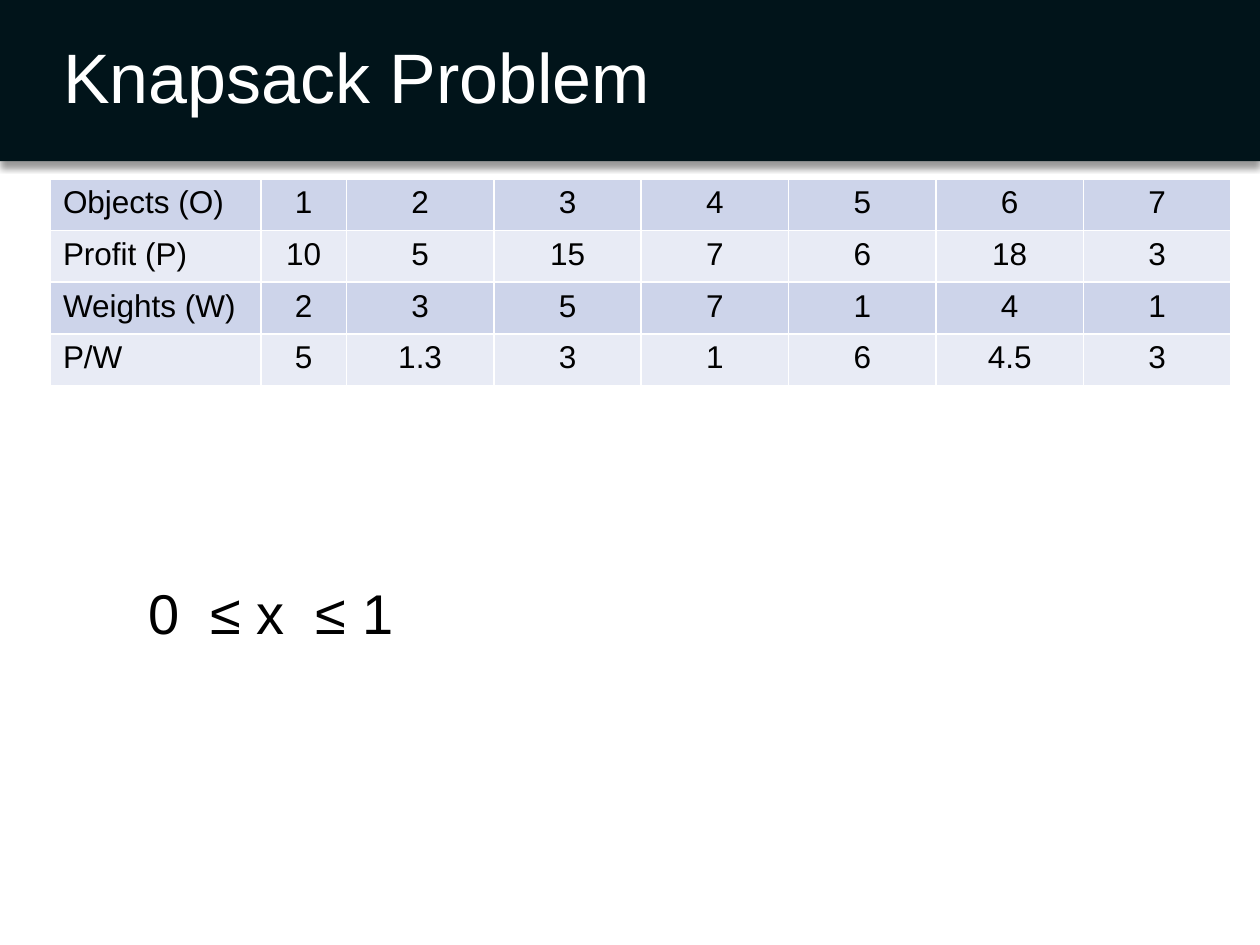
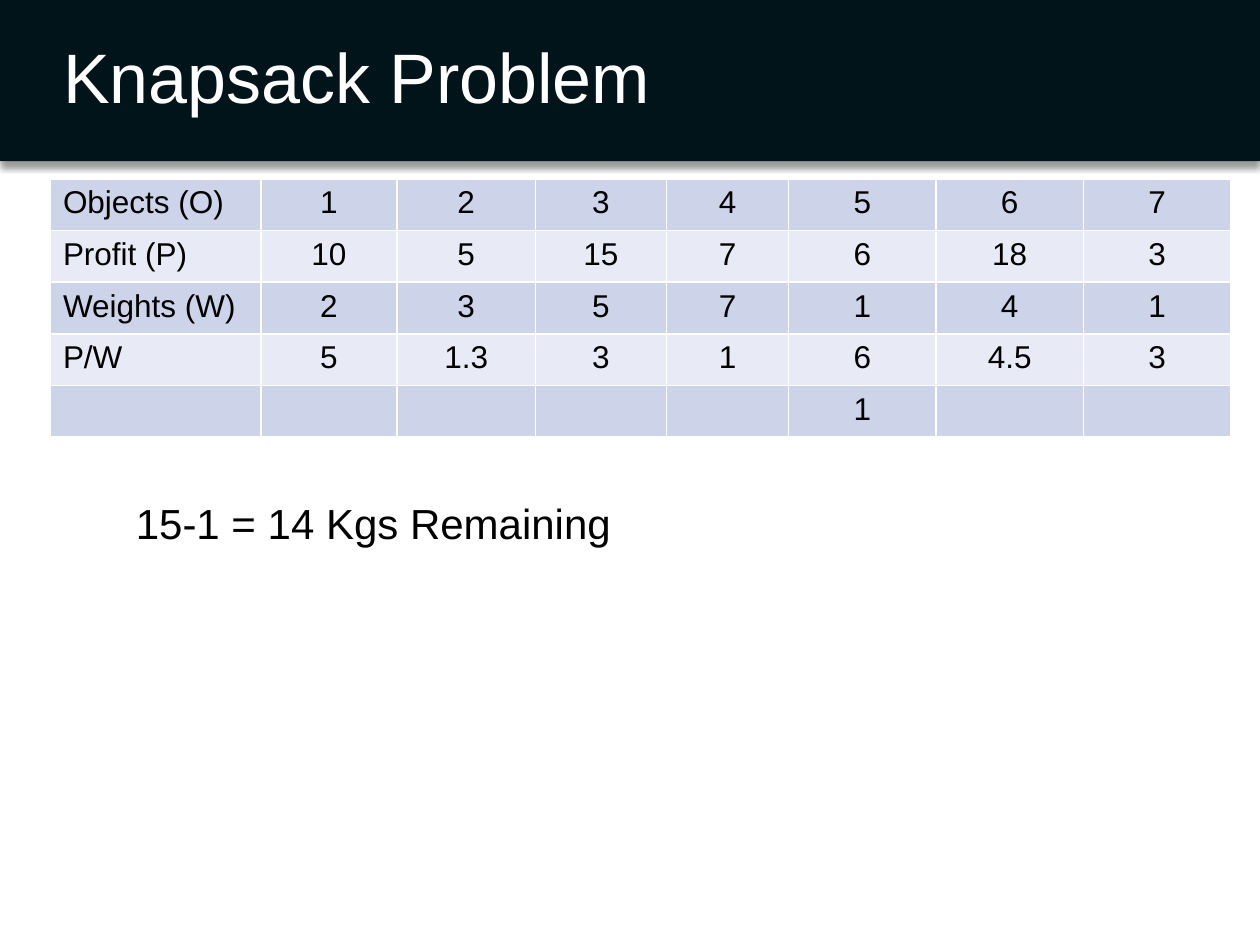
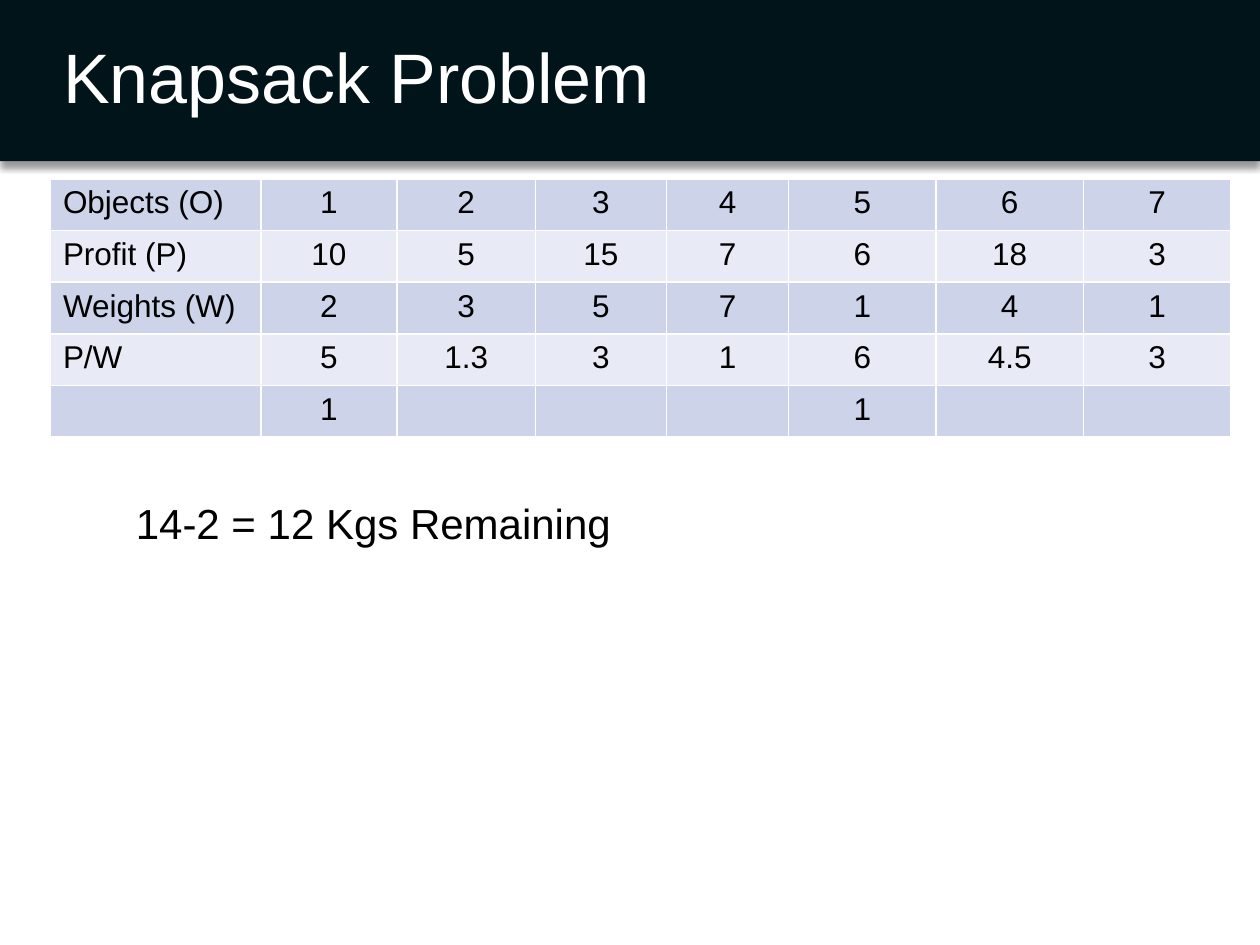
"""Build three slides that work through the knapsack problem."""
from lxml import etree
from pptx import Presentation
from pptx.dml.color import RGBColor
from pptx.enum.shapes import MSO_SHAPE
from pptx.enum.text import MSO_ANCHOR, MSO_AUTO_SIZE, PP_ALIGN
from pptx.oxml import parse_xml
from pptx.oxml.ns import nsdecls, qn
from pptx.util import Inches, Pt

RECT = MSO_SHAPE.RECTANGLE
MIDDLE = MSO_ANCHOR.MIDDLE
GROW = MSO_AUTO_SIZE.SHAPE_TO_FIT_TEXT
LEFT, CENTER = PP_ALIGN.LEFT, PP_ALIGN.CENTER

FONT = "Arial"
COLORS = {
    "band": "01141A",
    "white": "FFFFFF",
    "black": "000000",
    "odd": "CDD4EA",
    "even": "E8EBF5",
}
BAND_HIGH = 1.28
ROW_HIGH = 0.41
WIDE = [1.67, 0.68] + [1.17] * 6
TIGHT = [1.67, 1.08, 1.1, 1.04, 0.97] + [1.17] * 3
ITEMS = [
    ["Objects (O)", "1", "2", "3", "4", "5", "6", "7"],
    ["Profit (P)", "10", "5", "15", "7", "6", "18", "3"],
    ["Weights (W)", "2", "3", "5", "7", "1", "4", "1"],
    ["P/W", "5", "1.3", "3", "1", "6", "4.5", "3"],
]
SHADOW = (
    f'<a:effectLst {nsdecls("a")}>'
    f'<a:outerShdw blurRad="{Pt(4)}" dist="{Pt(3)}" dir="5400000" algn="t" rotWithShape="0">'
    f'<a:srgbClr val="{COLORS["black"]}"><a:alpha val="40000"/></a:srgbClr>'
    "</a:outerShdw></a:effectLst>"
)


def color(name):
    return RGBColor.from_string(COLORS[name])


def add_run(para, text, size, tone="black", align=LEFT):
    para.alignment = align
    run = para.add_run()
    run.text = text
    run.font.name = FONT
    run.font.size = Pt(size)
    run.font.color.rgb = color(tone)


def style_layout(layout, slide):
    """Put the title band and the title's place on the shared layout."""
    title = layout.placeholders[0]
    title.left, title.top = Inches(0.4), Inches(0)
    title.width, title.height = Inches(9.6), Inches(BAND_HIGH)
    title.text_frame.vertical_anchor = MIDDLE
    band = slide.shapes.add_shape(RECT, Inches(0), Inches(0), Inches(10), Inches(BAND_HIGH))
    band.fill.solid()
    band.fill.fore_color.rgb = color("band")
    band.line.fill.background()
    band.element.spPr.append(parse_xml(SHADOW))
    band.element.nvSpPr.cNvPr.id = 20
    title.element.addprevious(band.element)


def add_title(slide, text):
    para = slide.shapes.title.text_frame.paragraphs[0]
    para.line_spacing = 0.9
    add_run(para, text, 40, "white")


def add_edges(cell):
    props = cell._tc.get_or_add_tcPr()
    for side in ("lnL", "lnR", "lnT", "lnB"):
        edge = etree.SubElement(props, qn(f"a:{side}"), w=str(Pt(1)))
        fill = etree.SubElement(edge, qn("a:solidFill"))
        etree.SubElement(fill, qn("a:srgbClr"), val=COLORS["white"])


def add_grid(slide, rows, widths):
    frame = slide.shapes.add_table(
        len(rows), len(widths), Inches(0.4), Inches(1.42),
        Inches(sum(widths)), Inches(ROW_HIGH * len(rows)))
    table = frame.table
    table.first_row = False
    for col, width in zip(table.columns, widths):
        col.width = Inches(width)
    for i, row in enumerate(rows):
        table.rows[i].height = Inches(ROW_HIGH)
        for j, text in enumerate(row):
            cell = table.cell(i, j)
            add_edges(cell)
            cell.fill.solid()
            cell.fill.fore_color.rgb = color("even" if i % 2 else "odd")
            if text:
                para = cell.text_frame.paragraphs[0]
                add_run(para, text, 18, align=CENTER if j else LEFT)


def add_note(slide, text, size, left, top, width, height):
    box = slide.shapes.add_textbox(Inches(left), Inches(top), Inches(width), Inches(height))
    frame = box.text_frame
    frame.word_wrap = True
    frame.auto_size = GROW
    add_run(frame.paragraphs[0], text, size)


def pick_row(*picks):
    """Return a last row with 1 under each chosen object."""
    return [""] + ["1" if item in picks else "" for item in range(1, 8)]


def main():
    deck = Presentation()
    deck.slide_width, deck.slide_height = Inches(10), Inches(7.5)
    layout = deck.slide_layouts[5]
    slides = [deck.slides.add_slide(layout) for _ in range(3)]
    style_layout(layout, slides[0])
    for slide in slides:
        add_title(slide, "Knapsack Problem")

    add_grid(slides[0], ITEMS, WIDE)
    add_note(slides[0], "0  ≤ x  ≤ 1", 32, 1.08, 4.54, 4.69, 0.64)

    steps = [
        ([5], "15-1 = 14 Kgs Remaining"),
        ([1, 5], "14-2 = 12 Kgs Remaining"),
    ]
    for slide, (picks, note) in zip(slides[1:], steps):
        add_grid(slide, ITEMS + [pick_row(*picks)], TIGHT)
        add_note(slide, note, 24, 0.98, 3.9, 5.56, 0.5)

    deck.save("out.pptx")


if __name__ == "__main__":
    main()
